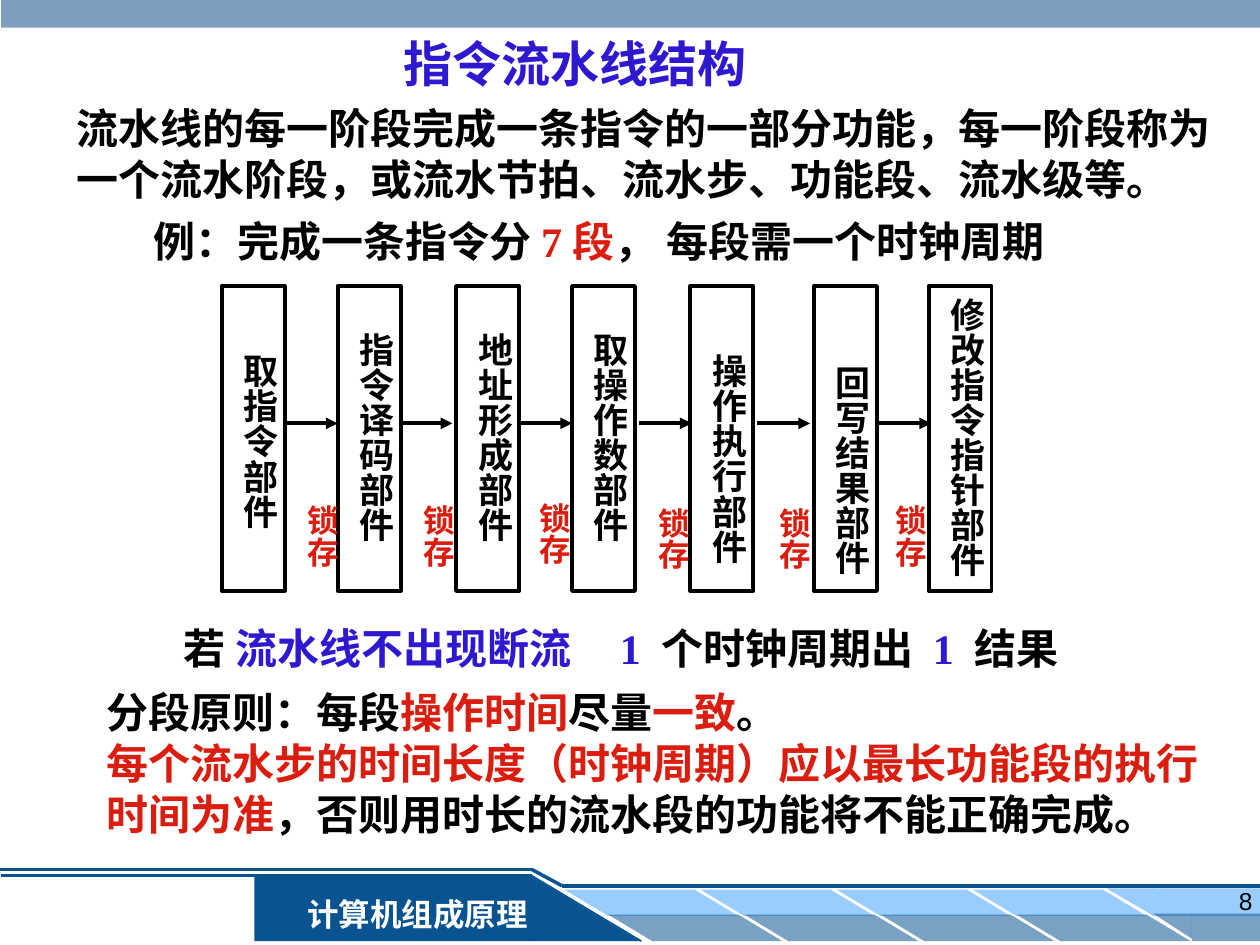
from pptx import Presentation
from pptx.dml.color import RGBColor
from pptx.enum.shapes import MSO_CONNECTOR, MSO_SHAPE
from pptx.enum.text import MSO_ANCHOR, PP_ALIGN
from pptx.oxml.ns import qn
from pptx.oxml.xmlchemy import OxmlElement
from pptx.util import Inches, Pt

BLACK = RGBColor(0x00, 0x00, 0x00)
WHITE = RGBColor(0xFF, 0xFF, 0xFF)
RED = RGBColor(0xDA, 0x1D, 0x0E)
VIOLET = RGBColor(0x2E, 0x18, 0xD0)
NAVY = RGBColor(0x09, 0x53, 0x91)
STEEL = RGBColor(0x33, 0x66, 0x99)
SKY = RGBColor(0x99, 0xCC, 0xFF)
SERIF, SANS, CJK = "Times New Roman", "Arial", "Noto Sans CJK SC"

deck = Presentation()
deck.slide_width, deck.slide_height = Inches(10), Inches(7.5)
slide = deck.slides.add_slide(deck.slide_layouts[6])
shapes = slide.shapes


def add_block(kind, left, top, width, height, fill, alpha=100):
    """Add a borderless preset shape; alpha is its opacity in percent."""
    block = shapes.add_shape(kind, Inches(left), Inches(top), Inches(width), Inches(height))
    block.shadow.inherit = False
    block.line.fill.background()
    block.fill.solid()
    block.fill.fore_color.rgb = fill
    if alpha < 100:
        node = OxmlElement("a:alpha")
        node.set("val", str(alpha * 1000))
        block.fill._xPr.find(".//" + qn("a:srgbClr")).append(node)
    return block


def add_text(left, top, width, height, lines, size, wrap=False, align=PP_ALIGN.LEFT,
             anchor=MSO_ANCHOR.MIDDLE, inset=(0, 0.05), font=SERIF, bold=True, down=False):
    """Add a text box; lines holds paragraphs as lists of (text, colour).

    With down set, the characters run from top to bottom.
    """
    box = shapes.add_textbox(Inches(left), Inches(top), Inches(width), Inches(height))
    frame = box.text_frame
    frame.word_wrap = wrap
    frame.vertical_anchor = anchor
    frame.margin_left = frame.margin_right = Inches(inset[0])
    frame.margin_top = frame.margin_bottom = Inches(inset[1])
    if down:
        frame._txBody.bodyPr.set("vert", "eaVert")
    for i, line in enumerate(lines):
        para = frame.paragraphs[0] if i == 0 else frame.add_paragraph()
        para.alignment = align
        para.line_spacing = Pt(round(size * 1.21))
        for text, colour in line:
            run = para.add_run()
            run.text = text
            run.font.size, run.font.bold, run.font.name = Pt(size), bold, font
            run.font.color.rgb = colour
            asian = OxmlElement("a:ea")
            asian.set("typeface", CJK)
            run.font._element.find(qn("a:latin")).addnext(asian)


# Top band and footer
RECT, WEDGE = MSO_SHAPE.RECTANGLE, MSO_SHAPE.RIGHT_TRIANGLE
add_block(RECT, 0.01, -0.03, 10, 0.25, STEEL, 63)
add_block(RECT, 2.02, 6.95, 2.2, 0.52, NAVY)
for i in range(4):
    for left, top, fill, alpha in ((4.48, 7.06, SKY, 100), (4.83, 7.26, NAVY, 54)):
        slant = add_block(MSO_SHAPE.PARALLELOGRAM, left + 1.08 * i, top, 1.38, 0.21, fill, alpha)
        slant.adjustments[0] = 1.66
        slant._element.spPr.find(qn("a:xfrm")).set("flipH", "1")
add_block(RECT, 9.14, 7.05, 0.86, 0.22, SKY)
add_block(WEDGE, 8.78, 7.05, 0.38, 0.22, SKY).rotation = 180
add_block(RECT, 9.46, 7.25, 0.54, 0.22, NAVY, 54)
add_block(WEDGE, 9.15, 7.25, 0.31, 0.2, NAVY, 54).rotation = 180
add_block(WEDGE, 4.21, 6.95, 0.87, 0.52, NAVY)
add_text(2.29, 7.05, 2.05, 0.4, [[("计算机组成原理", WHITE)]], 18,
         wrap=True, align=PP_ALIGN.CENTER)
add_text(7.71, 6.98, 2.33, 0.52, [[("8", BLACK)]], 14, wrap=True, align=PP_ALIGN.RIGHT,
         anchor=MSO_ANCHOR.TOP, inset=(0.1, 0.05), font=SANS, bold=False)

# Heading and statements
add_text(2.48, 0.21, 4.17, 0.58, [[("指令流水线结构", VIOLET)]], 28, align=PP_ALIGN.CENTER)
add_text(0.51, 0.76, 9.49, 0.9,
         [[("流水线的每一阶段完成一条指令的一部分功能，每一阶段称为"
            "一个流水阶段，或流水节拍、流水步、功能段、流水级等。", BLACK)]],
         24, wrap=True, anchor=MSO_ANCHOR.TOP, inset=(0.1, 0.05))
add_text(1.22, 1.62, 7.6, 0.58,
         [[("例：完成一条指令分 ", BLACK), ("7 段", RED), ("， 每段需一个时钟周期", BLACK)]], 24)
add_text(1.46, 4.85, 3.9, 0.58, [[("若 ", BLACK), ("流水线不出现断流", VIOLET)]], 24)
add_text(4.92, 4.85, 3.9, 0.58,
         [[("1  ", VIOLET), ("个时钟周期出  ", BLACK), ("1  ", VIOLET), ("结果", BLACK)]], 24)
add_text(0.75, 5.4, 9.06, 1.3,
         [[("分段原则：每段", BLACK), ("操作时间", RED), ("尽量", BLACK),
           ("一致", RED), ("。", BLACK)],
          [("每个流水步的时间长度（时钟周期）应以最长功能段的执行时间为准", RED),
           ("，否则用时长的流水段的功能将不能正确完成。", BLACK)]],
         24, wrap=True, anchor=MSO_ANCHOR.TOP, inset=(0.1, 0.05), font=CJK)

# Seven pipeline stages: name, box left, text top, text height
stages = [
    ("取指令部件", 1.76, 2.71, 1.49),
    ("指令译码部件", 2.68, 2.54, 1.77),
    ("地址形成部件", 3.62, 2.54, 1.77),
    ("取操作数部件", 4.54, 2.54, 1.77),
    ("操作执行部件", 5.48, 2.71, 1.87),
    ("回写结果部件", 6.46, 2.8, 1.87),
    ("修改指令指针部件", 7.37, 2.26, 2.33),
]
for name, left, top, height in stages:
    frame = add_block(RECT, left, 2.27, 0.5, 2.42, WHITE)
    frame.fill.background()
    frame.line.color.rgb = BLACK
    frame.line.width = Pt(2.25)
    add_text(left - 0.01, top, 0.53, height, [[(name, BLACK)]], 20,
             anchor=MSO_ANCHOR.TOP, inset=(0.05, 0.1), down=True)

# Latches between the stages
latches = [(2.26, 3.91), (3.18, 3.91), (4.1, 3.89), (5.05, 3.93), (6.01, 3.93), (6.93, 3.91)]
for left, top in latches:
    add_text(left, top, 0.5, 0.6, [[("锁存", RED)]], 18,
             anchor=MSO_ANCHOR.TOP, inset=(0.05, 0.1), down=True)

# Footer rules, then the arrows from stage to stage
rules = [
    (5.09, 7.47, 4.22, 6.95, NAVY, 1),
    (4.22, 6.95, 0.01, 6.95, NAVY, 1.5),
    (-0.01, 6.9, 4.22, 6.9, NAVY, 2),
    (4.22, 6.9, 4.46, 7.03, NAVY, 2),
    (4.46, 7.03, 10.01, 7.03, NAVY, 2),
]
arrows = [(x, 3.36, x + 0.42, 3.36, BLACK, 2.25) for x in (2.26, 3.17, 4.12, 5.07, 6.01, 6.97)]
for x1, y1, x2, y2, colour, width in rules + arrows:
    line = shapes.add_connector(MSO_CONNECTOR.STRAIGHT,
                                Inches(x1), Inches(y1), Inches(x2), Inches(y2))
    line.line.color.rgb = colour
    line.line.width = Pt(width)
    if colour == BLACK:
        tip = OxmlElement("a:tailEnd")
        tip.set("type", "triangle")
        line.line._get_or_add_ln().append(tip)
    line._element.spPr.append(OxmlElement("a:effectLst"))

deck.save("out.pptx")
